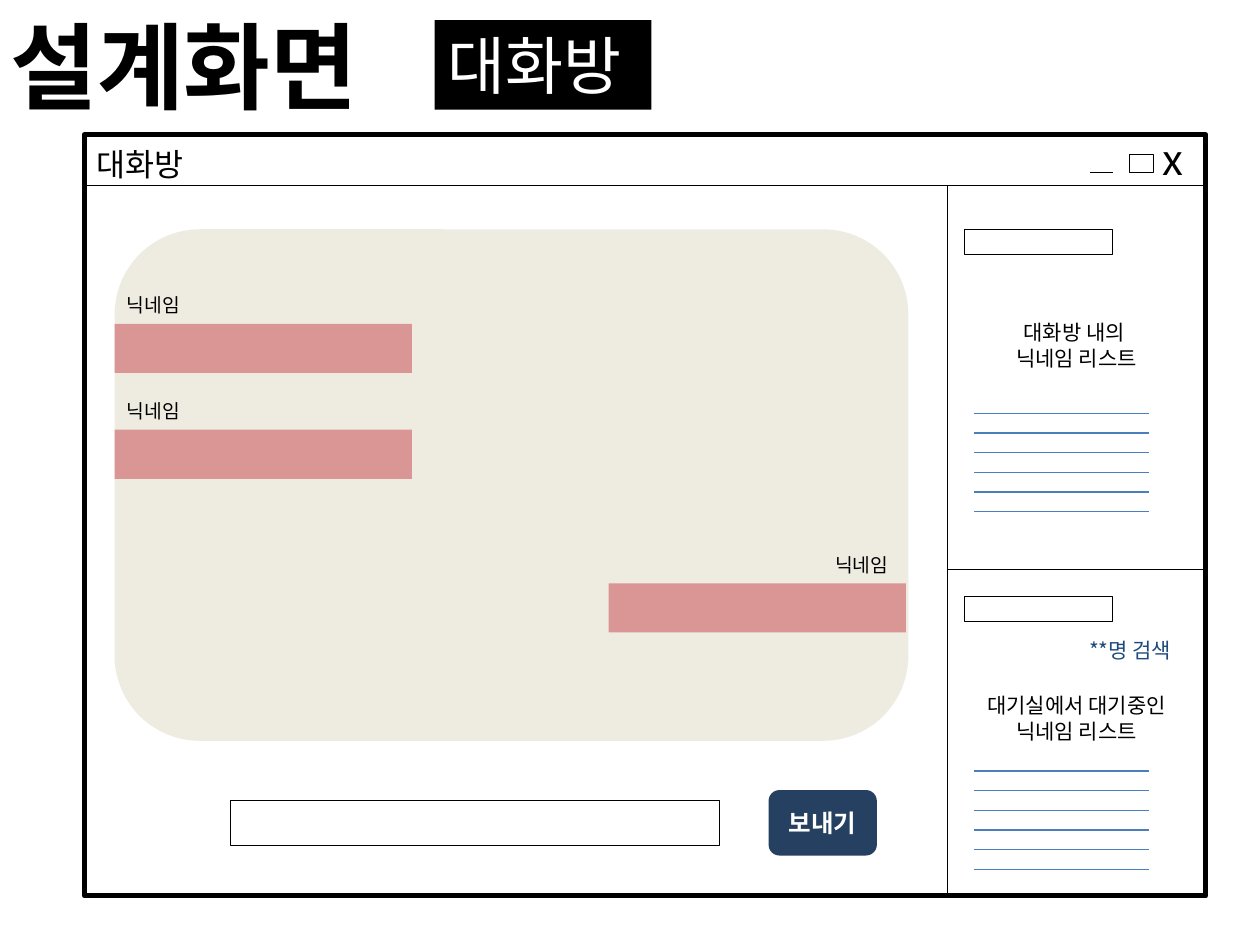
import pptx
import pptx.dml.color
import pptx.enum.shapes
import pptx.enum.text
import pptx.util
from lxml import etree
from pptx.oxml.ns import qn

Inches = pptx.util.Inches
Pt = pptx.util.Pt
ALIGN = pptx.enum.text.PP_ALIGN
ANCHOR = pptx.enum.text.MSO_ANCHOR
FIT = pptx.enum.text.MSO_AUTO_SIZE
SHAPE = pptx.enum.shapes.MSO_SHAPE

FONT = "Noto Sans CJK KR"
COLORS = {
    "black": "000000",
    "white": "FFFFFF",
    "list": "4B7EBC",
    "search": "1F497D",
    "button": "254061",
    "chat": "EEECE1",
    "bubble": "D99694",
}


def rgb(name):
    return pptx.dml.color.RGBColor.from_string(COLORS[name])


class Wireframe:
    """Draws the parts of a window mock-up on one slide."""

    def __init__(self, slide):
        self.slide = slide

    def place(self, sp, x, y, w, h):
        sp.left, sp.top = Inches(x), Inches(y)
        sp.width, sp.height = Inches(w), Inches(h)

    def set_text(self, sp, text, size, color="black", bold=False,
                 align=ALIGN.LEFT, anchor=ANCHOR.TOP, wrap=False, grow=True):
        tf = sp.text_frame
        tf.text = text
        tf.word_wrap = wrap
        tf.auto_size = FIT.SHAPE_TO_FIT_TEXT if grow else FIT.NONE
        tf.vertical_anchor = anchor
        for p in tf.paragraphs:
            p.alignment = align
            for r in p.runs:
                r.font.name = FONT
                r.font.size = Pt(size)
                r.font.bold = bold
                r.font.color.rgb = rgb(color)
                ea = etree.SubElement(r.font._element, qn("a:ea"))
                ea.set("typeface", FONT)

    def title(self, text, x, y, w, h, size):
        sp = self.slide.shapes.title
        self.place(sp, x, y, w, h)
        self.set_text(sp, text, size, bold=True)

    def label(self, text, x, y, w, h, size, **style):
        sp = self.slide.shapes.add_textbox(Inches(x), Inches(y), Inches(w), Inches(h))
        self.set_text(sp, text, size, **style)

    def box(self, x, y, w, h, fill=None, line=None, kind=SHAPE.RECTANGLE):
        sp = self.slide.shapes.add_shape(kind, Inches(x), Inches(y), Inches(w), Inches(h))
        sp.shadow.inherit = False
        if fill:
            sp.fill.solid()
            sp.fill.fore_color.rgb = rgb(fill)
        else:
            sp.fill.background()
        if line:
            sp.line.color.rgb = rgb("black")
            sp.line.width = Pt(line)
        else:
            sp.line.fill.background()
        return sp

    def line(self, x1, y1, x2, y2, color="black"):
        c = self.slide.shapes.add_connector(
            pptx.enum.shapes.MSO_CONNECTOR.STRAIGHT,
            Inches(x1), Inches(y1), Inches(x2), Inches(y2))
        c.line.color.rgb = rgb(color)
        c.line.width = Pt(0.75)
        etree.SubElement(c._element.spPr, qn("a:effectLst"))

    def name_list(self, top, bottom, rows=6):
        for i in range(rows):
            y = top + i * (bottom - top) / (rows - 1)
            self.line(7.73, y, 9.12, y, "list")

    def message(self, x, y, name_x):
        self.box(x, y, 2.36, 0.39, fill="bubble")
        self.label("닉네임", name_x, y - 0.29, 0.66, 0.29, 11)


def main():
    prs = pptx.Presentation()
    prs.slide_width, prs.slide_height = Inches(10), Inches(7.5)
    s = prs.slides.add_slide(prs.slide_layouts[5])
    ui = Wireframe(s)

    # Heading and screen name
    ui.title("설계화면", -0.02, 0.01, 3.23, 1.01, 54)
    tag = ui.box(3.45, 0.16, 1.72, 0.71, fill="black")
    ui.set_text(tag, "대화방", 36, "white")

    # Window frame, title bar and controls
    ui.box(0.67, 1.07, 8.9, 6.04, line=3)
    ui.label("대화방", 0.67, 1.1, 0.96, 0.4, 18)
    ui.label("x", 9.13, 1.13, 0.36, 0.26, 24, align=ALIGN.CENTER, anchor=ANCHOR.MIDDLE)
    ui.box(8.96, 1.22, 0.19, 0.15, line=0.25)
    ui.line(8.65, 1.37, 8.83, 1.37)

    # Dividers
    ui.line(0.67, 1.47, 9.55, 1.47)
    ui.line(7.52, 1.47, 7.52, 7.12)
    ui.line(7.52, 4.52, 9.57, 4.52)

    # Side panels: people in the room, people waiting
    centred = {"align": ALIGN.CENTER, "wrap": True}
    for field_y in (1.82, 4.73):
        ui.box(7.65, field_y, 1.18, 0.2, line=0.25)
    ui.label("대화방 내의 \n닉네임 리스트", 7.63, 2.49, 1.83, 0.71, 12, **centred)
    ui.label("대기실에서 대기중인 닉네임 리스트", 7.63, 5.45, 1.83, 0.5, 12, **centred)
    ui.label("**명 검색", 8.5, 5.01, 0.94, 0.3, 12, color="search", **centred)
    for top, bottom in ((3.28, 4.06), (6.12, 6.9)):
        ui.name_list(top, bottom)

    # Chat area with messages
    ui.box(0.91, 1.82, 6.3, 4.06, fill="chat", kind=SHAPE.ROUNDED_RECTANGLE)
    for x, y, name_x in ((0.91, 2.57, 0.91), (0.91, 3.41, 0.91), (4.83, 4.63, 6.53)):
        ui.message(x, y, name_x)

    # Input field and send button
    ui.box(1.83, 6.35, 3.88, 0.36, line=0.25)
    button = ui.box(6.1, 6.27, 0.86, 0.52, fill="button", kind=SHAPE.ROUNDED_RECTANGLE)
    ui.set_text(button, "보내기", 14, "white", bold=True, align=ALIGN.CENTER,
                anchor=ANCHOR.MIDDLE, wrap=True, grow=False)

    prs.save("out.pptx")


if __name__ == "__main__":
    main()
